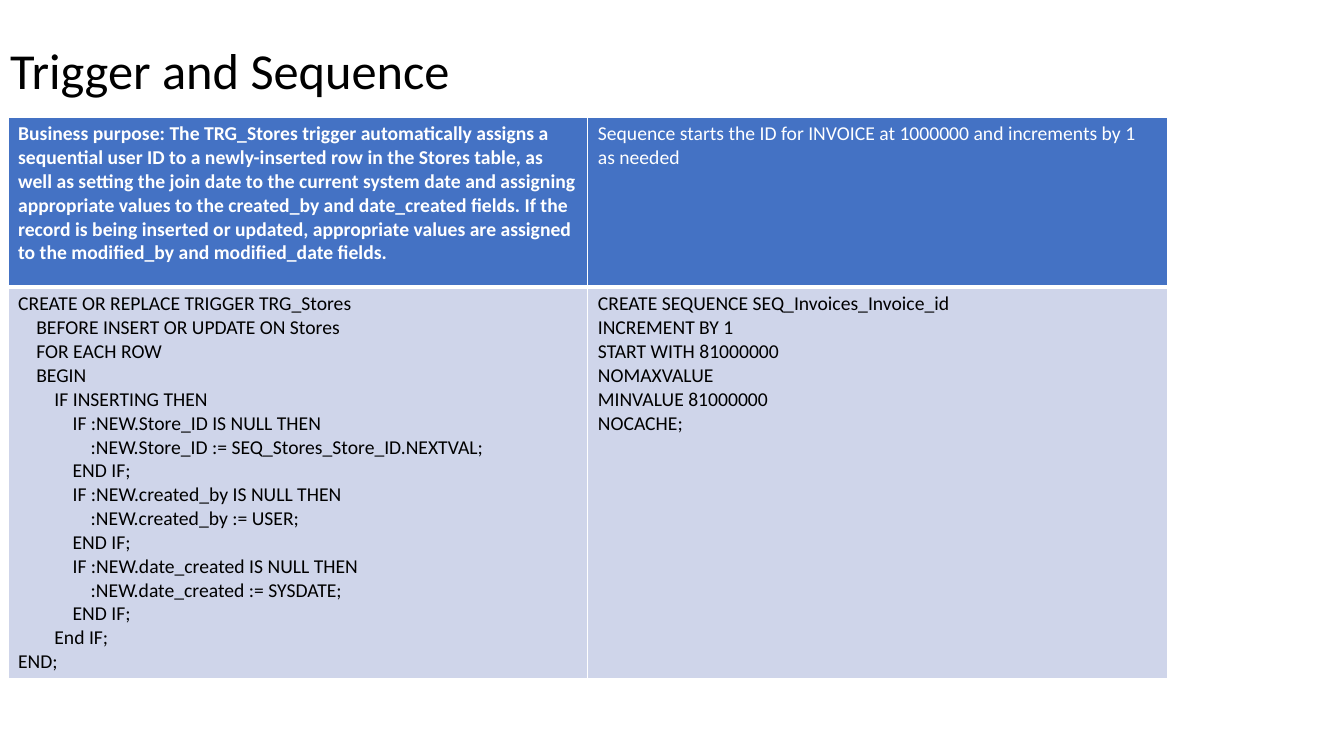
import pptx
import pptx.dml.color
import pptx.enum.text
import pptx.oxml
import pptx.util
from pptx.util import Inches

COLOURS = {"header": "4472C4", "body": "CFD5EA", "white": "FFFFFF", "black": "000000"}
FONT = "Calibri"
INDENT = 0.18  # inches for each code level

PURPOSES = [
    "Business purpose: The TRG_Stores trigger automatically assigns a sequential user ID "
    "to a newly-inserted row in the Stores table, as well as setting the join date to the "
    "current system date and assigning appropriate values to the created_by and "
    "date_created fields. If the record is being inserted or updated, appropriate values "
    "are assigned to the modified_by and modified_date fields.",
    "Sequence starts the ID for INVOICE at 1000000 and increments by 1 as needed",
]
TRIGGER_CODE = [
    (0, "CREATE OR REPLACE TRIGGER TRG_Stores"),
    (1, "BEFORE INSERT OR UPDATE ON Stores"),
    (1, "FOR EACH ROW"),
    (1, "BEGIN"),
    (2, "IF INSERTING THEN"),
]
for field, value in [
    ("Store_ID", "SEQ_Stores_Store_ID.NEXTVAL"),
    ("created_by", "USER"),
    ("date_created", "SYSDATE"),
]:
    TRIGGER_CODE += [
        (3, f"IF :NEW.{field} IS NULL THEN"),
        (4, f":NEW.{field} := {value};"),
        (3, "END IF;"),
    ]
TRIGGER_CODE += [(2, "End IF;"), (0, "END;")]
SEQUENCE_CODE = [
    (0, "CREATE SEQUENCE SEQ_Invoices_Invoice_id"),
    (0, "INCREMENT BY 1"),
    (0, "START WITH 81000000"),
    (0, "NOMAXVALUE"),
    (0, "MINVALUE 81000000"),
    (0, "NOCACHE;"),
]
ROWS = [[[(0, text)] for text in PURPOSES], [TRIGGER_CODE, SEQUENCE_CODE]]


def style_runs(para, size, colour, bold=False):
    for span in para.runs:
        span.font.name = FONT
        span.font.size = pptx.util.Pt(size)
        span.font.bold = bold
        span.font.color.rgb = pptx.dml.color.RGBColor.from_string(COLOURS[colour])


def add_borders(cell, widths):
    """Draw white cell borders; widths maps each side's tag to points."""
    properties = cell._tc.get_or_add_tcPr()
    for position, (side, width) in enumerate(widths.items()):
        line = pptx.oxml.parse_xml(
            f'<a:{side} xmlns:a="http://schemas.openxmlformats.org/drawingml/2006/main" '
            f'w="{pptx.util.Pt(width)}"><a:solidFill><a:srgbClr val="{COLOURS["white"]}"/>'
            f'</a:solidFill></a:{side}>'
        )
        properties.insert(position, line)


deck = pptx.Presentation()
deck.slide_width = Inches(13.33)
deck.slide_height = Inches(7.5)
page = deck.slides.add_slide(deck.slide_layouts[5])

title = page.shapes.title
title.left, title.top = Inches(0), Inches(0)
title.width, title.height = Inches(11.5), Inches(1.45)
title.text_frame.text = "Trigger and Sequence"
title.text_frame.auto_size = pptx.enum.text.MSO_AUTO_SIZE.NONE
title.text_frame.vertical_anchor = pptx.enum.text.MSO_ANCHOR.MIDDLE
heading = title.text_frame.paragraphs[0]
heading.alignment = pptx.enum.text.PP_ALIGN.LEFT
heading.line_spacing = 0.9
style_runs(heading, 36, "black")

table = page.shapes.add_table(
    2, 2, Inches(0.08), Inches(1.16), Inches(11.5), Inches(5.11)
).table
for column in table.columns:
    column.width = Inches(5.75)
for row, height in zip(table.rows, [1.69, 3.42]):
    row.height = Inches(height)

for row_index, row in enumerate(ROWS):
    is_header = row_index == 0
    for column_index, lines in enumerate(row):
        cell = table.cell(row_index, column_index)
        cell.fill.solid()
        cell.fill.fore_color.rgb = pptx.dml.color.RGBColor.from_string(
            COLOURS["header" if is_header else "body"]
        )
        add_borders(cell, {
            "lnL": 1,
            "lnR": 1,
            "lnT": 1 if is_header else 3,
            "lnB": 3 if is_header else 1,
        })
        cell.text_frame.text = "\n".join(text for level, text in lines)
        for para, (level, text) in zip(cell.text_frame.paragraphs, lines):
            if level:
                para._p.get_or_add_pPr().set("marL", str(Inches(INDENT * level)))
            style_runs(
                para, 14, "white" if is_header else "black",
                bold=is_header and column_index == 0,
            )

deck.save("out.pptx")
